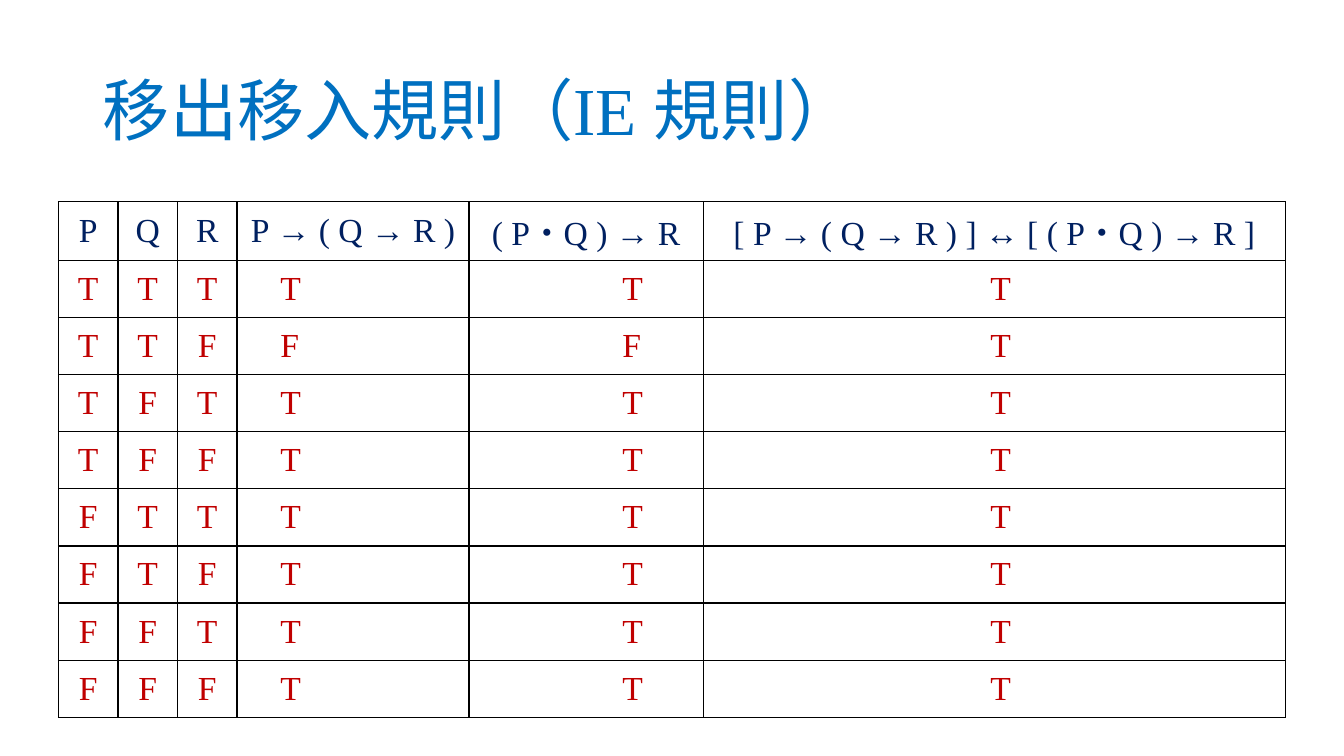
from itertools import product

from lxml import etree
from pptx import Presentation
from pptx.dml.color import RGBColor
from pptx.enum.text import MSO_ANCHOR, PP_ALIGN
from pptx.oxml.ns import qn
from pptx.util import Inches, Pt

LEFT, CENTER = PP_ALIGN.LEFT, PP_ALIGN.CENTER
MIDDLE = MSO_ANCHOR.MIDDLE
BLUE = RGBColor(0x00, 0x70, 0xC0)
NAVY = RGBColor(0x00, 0x20, 0x60)
RED = RGBColor(0xC0, 0x00, 0x00)
FONT = "Times New Roman"

HEADS = ["P", "Q", "R", "P → ( Q → R )", "( P・Q ) → R",
         "[ P → ( Q → R ) ] ↔\ufe0e [ ( P・Q ) → R ]"]
WIDTHS = [0.59, 0.59, 0.59, 2.3, 2.32, 5.77]
# Left margins that put each result under its main connective
MARGINS = {3: 0.43, 4: 1.52, 5: 2.85}


def style(para, size, color, align):
    """Set the font and alignment of one paragraph."""
    para.alignment = align
    para.font.name = FONT
    para.font.size = Pt(size)
    para.font.color.rgb = color


def border(cell):
    """Draw a thin black line on all four sides of a cell."""
    props = cell._tc.get_or_add_tcPr()
    for pos, side in enumerate(("a:lnL", "a:lnR", "a:lnT", "a:lnB")):
        line = etree.Element(qn(side), w=str(Pt(1)))
        fill = etree.SubElement(line, qn("a:solidFill"))
        etree.SubElement(fill, qn("a:srgbClr"), val="000000")
        props.insert(pos, line)


def truth():
    """Return the truth table rows as lists of T and F."""
    rows = []
    for p, q, r in product((True, False), repeat=3):
        nested = not p or not q or r
        joint = not (p and q) or r
        values = (p, q, r, nested, joint, nested == joint)
        rows.append(["T" if value else "F" for value in values])
    return rows


def add_title(slide, text, left, top, width, height):
    """Place and format the slide title."""
    title = slide.shapes.title
    title.left, title.top = Inches(left), Inches(top)
    title.width, title.height = Inches(width), Inches(height)
    frame = title.text_frame
    frame.text = text
    frame.vertical_anchor = MIDDLE
    para = frame.paragraphs[0]
    para.line_spacing = 0.9
    style(para, 48, BLUE, LEFT)


def add_truth(slide, left, top, width, height):
    """Place the truth table in the given box."""
    rows = [HEADS] + truth()
    table = slide.shapes.add_table(
        len(rows), len(HEADS), Inches(left), Inches(top),
        Inches(width), Inches(height)).table
    table.first_row = table.horz_banding = False
    for col, part in zip(table.columns, WIDTHS):
        col.width = Inches(width * part / sum(WIDTHS))
    for y, row in enumerate(rows):
        table.rows[y].height = Inches(height / len(rows))
        for x, text in enumerate(row):
            cell = table.cell(y, x)
            cell.text = text
            cell.vertical_anchor = MIDDLE
            cell.fill.background()
            border(cell)
            shift = y > 0 and x in MARGINS
            if shift:
                cell.margin_left = Inches(MARGINS[x])
            style(cell.text_frame.paragraphs[0], 24,
                  RED if y else NAVY, LEFT if shift else CENTER)


def main():
    """Build and save the slide."""
    deck = Presentation()
    deck.slide_width, deck.slide_height = Inches(13.33), Inches(7.5)
    slide = deck.slides.add_slide(deck.slide_layouts[5])
    add_title(slide, "移出移入規則（IE 規則）", 0.92, 0.4, 11.5, 1.45)
    add_truth(slide, 0.58, 2, 12.17, 5.1)
    deck.save("out.pptx")


main()
